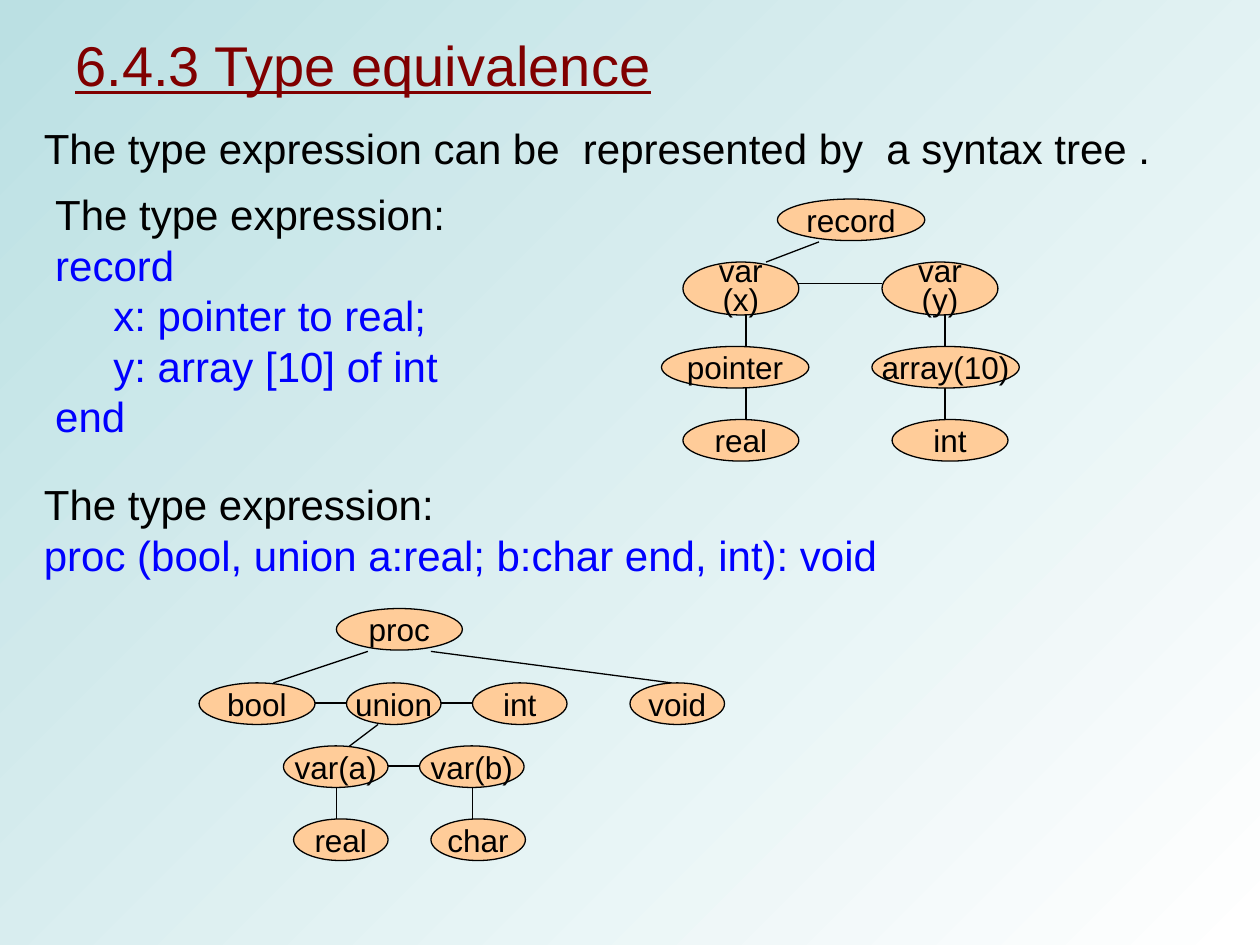
from dataclasses import dataclass

from lxml import etree
from pptx import Presentation
from pptx.dml.color import RGBColor
from pptx.enum.shapes import MSO_CONNECTOR, MSO_SHAPE
from pptx.enum.text import MSO_ANCHOR, PP_ALIGN
from pptx.oxml.ns import qn
from pptx.util import Inches, Pt

OVAL = MSO_SHAPE.OVAL
STRAIGHT = MSO_CONNECTOR.STRAIGHT
LEFT, CENTER = PP_ALIGN.LEFT, PP_ALIGN.CENTER
TOP, MIDDLE = MSO_ANCHOR.TOP, MSO_ANCHOR.MIDDLE


@dataclass(frozen=True)
class Theme:
    font: str = "Arial"
    title: RGBColor = RGBColor(0x80, 0x00, 0x00)
    ink: RGBColor = RGBColor(0x00, 0x00, 0x00)
    code: RGBColor = RGBColor(0x00, 0x00, 0xFF)
    node: RGBColor = RGBColor(0xFF, 0xCC, 0x99)
    background_start: RGBColor = RGBColor(0xBB, 0xE0, 0xE3)
    background_end: RGBColor = RGBColor(0xFF, 0xFF, 0xFF)
    title_size: int = 32
    body_size: int = 24
    node_size: int = 18
    line_width: float = 0.75


THEME = Theme()


@dataclass(frozen=True)
class Node:
    text: str
    left: float
    top: float
    width: float
    height: float = 0.33


@dataclass(frozen=True)
class Edge:
    x1: float
    y1: float
    x2: float
    y2: float


@dataclass(frozen=True)
class Tree:
    nodes: tuple[Node, ...]
    edges: tuple[Edge, ...]


RECORD_TREE = Tree(
    nodes=(
        Node("record", 6.17, 1.58, 1.17),
        Node("var\n(x)", 5.42, 2.08, 0.92, 0.42),
        Node("var\n(y)", 7, 2.08, 0.92, 0.42),
        Node("pointer", 5.25, 2.75, 1.17),
        Node("array(10)", 6.92, 2.75, 1.17),
        Node("real", 5.42, 3.33, 0.92),
        Node("int", 7.08, 3.33, 0.92),
    ),
    edges=(
        Edge(6.5, 1.92, 6.08, 2.08),
        Edge(6.33, 2.25, 7, 2.25),
        *(Edge(x, y, x, y + 0.25) for x in (5.92, 7.5) for y in (2.5, 3.08)),
    ),
)

PROC_TREE = Tree(
    nodes=(
        Node("proc", 2.67, 4.83, 1),
        Node("bool", 1.58, 5.42, 0.92),
        Node("union", 2.75, 5.42, 0.75),
        Node("int", 3.75, 5.42, 0.75),
        Node("void", 5, 5.42, 0.75),
        Node("var(a)", 2.25, 5.92, 0.83),
        Node("var(b)", 3.33, 5.92, 0.83),
        Node("real", 2.33, 6.5, 0.75),
        Node("char", 3.42, 6.5, 0.75),
    ),
    edges=(
        Edge(2.92, 5.17, 2.17, 5.42),
        Edge(3.42, 5.17, 5.33, 5.42),
        Edge(3, 5.75, 2.67, 6),
        *(Edge(x, y, x + 0.25, y) for x, y in ((2.5, 5.58), (3.5, 5.58), (3.08, 6.08))),
        *(Edge(x, 6.25, x, 6.5) for x in (2.67, 3.75)),
    ),
)


def write_text(shape, lines, *, size, color=THEME.ink, first_color=None, align=LEFT,
               anchor=TOP, wrap=True, underline=None, line_spacing=None) -> None:
    """Fill a shape with one paragraph per line; first_color applies to the first."""
    frame = shape.text_frame
    frame.word_wrap = wrap
    frame.vertical_anchor = anchor
    for index, line in enumerate(lines):
        paragraph = frame.paragraphs[0] if index == 0 else frame.add_paragraph()
        paragraph.alignment = align
        paragraph.line_spacing = line_spacing
        run = paragraph.add_run()
        run.text = line
        run.font.name = THEME.font
        run.font.size = Pt(size)
        run.font.underline = underline
        run.font.color.rgb = first_color if index == 0 and first_color else color


def add_text_box(slide, left: float, top: float, width: float, height: float,
                 *lines: str, **text_format) -> None:
    box = slide.shapes.add_textbox(Inches(left), Inches(top), Inches(width), Inches(height))
    write_text(box, lines, **text_format)


def add_edge(shapes, edge: Edge) -> None:
    connector = shapes.add_connector(STRAIGHT, Inches(edge.x1), Inches(edge.y1),
                                     Inches(edge.x2), Inches(edge.y2))
    connector.line.color.rgb = THEME.ink
    connector.line.width = Pt(THEME.line_width)
    etree.SubElement(connector._element.spPr, qn("a:effectLst"))


def add_node(shapes, node: Node) -> None:
    shape = shapes.add_shape(OVAL, Inches(node.left), Inches(node.top),
                             Inches(node.width), Inches(node.height))
    shape.shadow.inherit = False
    shape.fill.solid()
    shape.fill.fore_color.rgb = THEME.node
    shape.line.color.rgb = THEME.ink
    shape.line.width = Pt(THEME.line_width)
    lines = node.text.split("\n")
    write_text(shape, lines, size=THEME.node_size, align=CENTER, anchor=MIDDLE,
               wrap=False, line_spacing=0.75 if len(lines) > 1 else None)


def add_tree(shapes, tree: Tree) -> None:
    for edge in tree.edges:
        add_edge(shapes, edge)
    for node in tree.nodes:
        add_node(shapes, node)


def set_background(slide) -> None:
    fill = slide.background.fill
    fill.gradient()
    fill.gradient_angle = 315
    colors = (THEME.background_start, THEME.background_end)
    for position, (stop, color) in enumerate(zip(fill.gradient_stops, colors)):
        stop.position = position
        stop.color.rgb = color


def main() -> None:
    presentation = Presentation()
    presentation.slide_width = Inches(10)
    presentation.slide_height = Inches(7.5)
    slide = presentation.slides.add_slide(presentation.slide_layouts[6])
    set_background(slide)

    # Title and introduction
    add_text_box(slide, 0.5, 0.17, 9.33, 0.67, "6.4.3 Type equivalence",
                 size=THEME.title_size, color=THEME.title, underline=True, anchor=MIDDLE)
    add_text_box(slide, 0.25, 0.92, 9.5, 0.67,
                 "The type expression can be  represented by  a syntax tree .",
                 size=THEME.body_size)

    # Type expressions
    code_format = dict(size=THEME.body_size, color=THEME.code, first_color=THEME.ink)
    add_text_box(slide, 0.34, 1.45, 3.4, 2.1, "The type expression:", "record",
                 "     x: pointer to real;", "     y: array [10] of int", "end",
                 **code_format)
    add_text_box(slide, 0.25, 3.75, 6.95, 1.3, "The type expression:",
                 "proc (bool, union a:real; b:char end, int): void", **code_format)

    # Syntax trees
    add_tree(slide.shapes.add_group_shape().shapes, RECORD_TREE)
    add_tree(slide.shapes, PROC_TREE)

    presentation.save("out.pptx")


if __name__ == "__main__":
    main()
